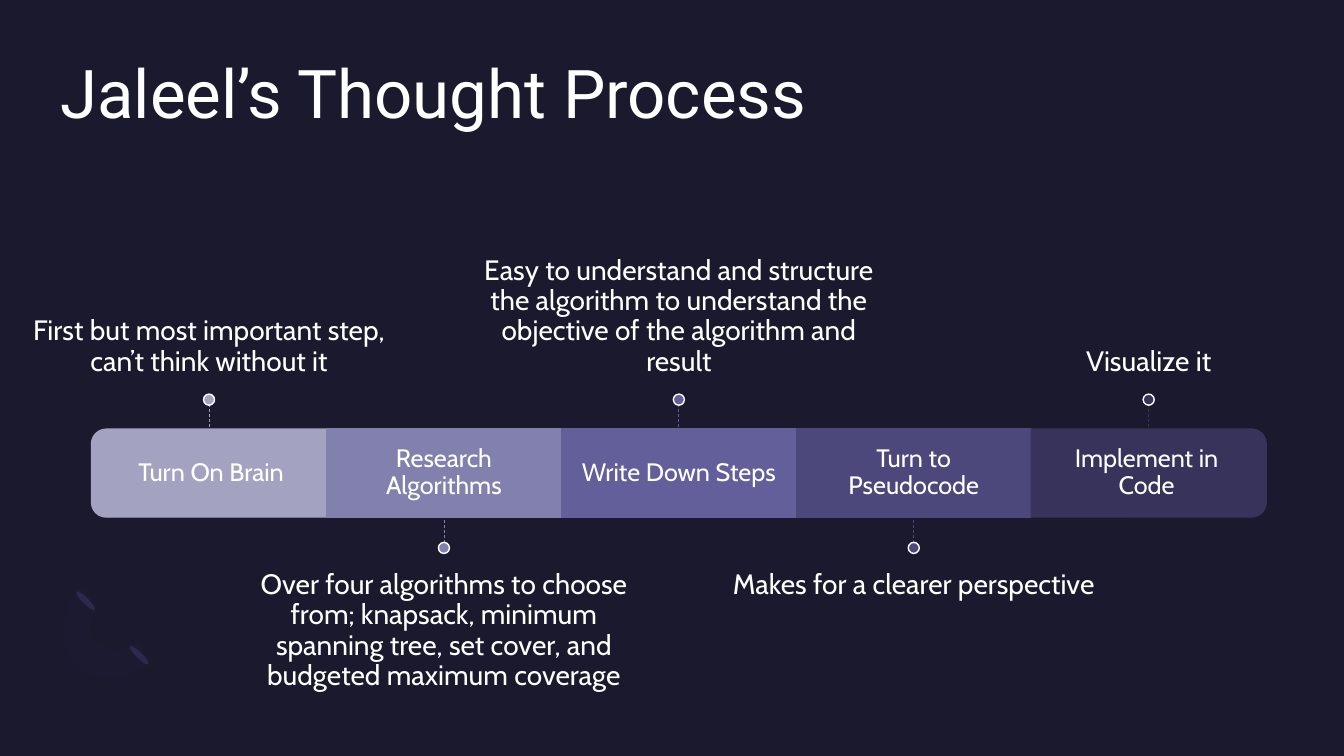
from lxml import etree
from pptx import Presentation
from pptx.dml.color import RGBColor
from pptx.enum import dml, shapes, text
from pptx.oxml.ns import qn
from pptx.util import Pt

TITLE = "Jaleel’s Thought Process"
STEPS = [  # label, note, colour
    ("Turn On Brain", "First but most important step, can’t think without it", "step1"),
    ("Research Algorithms", "Over four algorithms to choose from; knapsack, minimum "
     "spanning tree, set cover, and budgeted maximum coverage", "step2"),
    ("Write Down Steps", "Easy to understand and structure the algorithm to understand "
     "the objective of the algorithm and result", "step3"),
    ("Turn to Pseudocode", "Makes for a clearer perspective", "step4"),
    ("Implement in Code", "Visualize it", "step5"),
]
COLORS = {
    "bg": "1B192E", "text": "FFFFFF", "leaf": "2C284A", "arc": "7771B2",
    "step1": "A3A3C1", "step2": "8281AE", "step3": "625F9A",
    "step4": "4C487B", "step5": "37335B",
}

BAR_X, BAR_Y, SEG_W, SEG_H = 65.4, 306.5, 167.8, 62.8
END_INSET = 3
NOTE_W, NOTE_H, NOTE_GAP = 279.4, 133.2, 12.2
DOT = 7.9
LEAVES = [(97.2, 458.6), (59, 419.8)]
LEAF_W, LEAF_H = 4.3, 18.7
ARC_OUTER = [(54.7, 474.5), (40.3, 460.1), (41.8, 435.6), (58.3, 419)]
ARC_INNER = [
    [(71.3, 432), (62.6, 439.9), (61.9, 452.9), (69.1, 459.4)],
    [(69.1, 459.4), (76.3, 466.6), (88.6, 465.8), (97.2, 457.9)],
]
ARC_RETURN = [(109.4, 470.9), (93.6, 486.7), (68.4, 488.9), (54.7, 474.5)]

prs = Presentation()
prs.slide_width, prs.slide_height = Pt(960), Pt(540)
s = prs.slides.add_slide(prs.slide_layouts[6])


def rgb(name):
    return RGBColor.from_string(COLORS[name])


s.background.fill.solid()
s.background.fill.fore_color.rgb = rgb("bg")


def paint(sp, fill, line=None):
    sp.shadow.inherit = False
    sp.fill.solid()
    sp.fill.fore_color.rgb = rgb(fill)
    if line:
        sp.line.color.rgb = rgb(line)
        sp.line.width = Pt(1)
    else:
        sp.line.fill.background()


def add_preset(kind, x, y, w, h, fill, line=None, rotation=0):
    sp = s.shapes.add_shape(kind, Pt(x), Pt(y), Pt(w), Pt(h))
    sp.rotation = rotation
    paint(sp, fill, line)


def add_text(content, x, y, w, h, size, font="Cabin", align=text.PP_ALIGN.CENTER,
             anchor=text.MSO_ANCHOR.TOP, insets=(0, 0, 0, 0)):
    """Insets run left, top, right, bottom."""
    tf = s.shapes.add_textbox(Pt(x), Pt(y), Pt(w), Pt(h)).text_frame
    tf.word_wrap = True
    tf.vertical_anchor = anchor
    tf.margin_left, tf.margin_top, tf.margin_right, tf.margin_bottom = map(Pt, insets)
    p = tf.paragraphs[0]
    p.alignment, p.line_spacing = align, 0.9
    r = p.add_run()
    r.text = content
    r.font.size, r.font.name = Pt(size), font
    r.font.color.rgb = rgb("text")


def add_stem(x, y1, y2, color):
    cx = s.shapes.add_connector(shapes.MSO_CONNECTOR.STRAIGHT, Pt(x), Pt(y1), Pt(x), Pt(y2))
    cx.line.color.rgb = rgb(color)
    cx.line.width = Pt(0.5)
    cx.line.dash_style = dml.MSO_LINE.DASH
    etree.SubElement(cx._element.spPr, qn("a:effectLst"))


def bezier(points, n=12):
    """Points along a cubic curve, both ends included."""
    a, b, c, d = points
    return [tuple((1 - t)**3 * a[k] + 3 * (1 - t)**2 * t * b[k]
                  + 3 * (1 - t) * t**2 * c[k] + t**3 * d[k] for k in (0, 1))
            for t in (i / n for i in range(n + 1))]


def add_ornament():
    for x, y in LEAVES:
        add_preset(shapes.MSO_SHAPE.OVAL, x, y, LEAF_W, LEAF_H, "leaf", rotation=135)
    outline = [pt for curve in (ARC_OUTER, *ARC_INNER, ARC_RETURN) for pt in bezier(curve)]
    fb = s.shapes.build_freeform(*outline[0], scale=Pt(1))
    fb.add_line_segments(outline[1:], close=True)
    sp = fb.convert_to_shape()
    paint(sp, "arc")
    color = sp._element.spPr.find(qn("a:solidFill"))[0]
    etree.SubElement(color, qn("a:alpha"), val="2000")


def add_segment(i, label, color):
    x = BAR_X + i * SEG_W
    first, last = i == 0, i == len(STEPS) - 1
    if first or last:  # rounded end, drawn upright and turned outward
        add_preset(shapes.MSO_SHAPE.ROUND_2_SAME_RECTANGLE,
                   x + (SEG_W - SEG_H) / 2, BAR_Y + (SEG_H - SEG_W) / 2, SEG_H, SEG_W,
                   color, color, rotation=270 if first else 90)
    else:
        add_preset(shapes.MSO_SHAPE.RECTANGLE, x, BAR_Y, SEG_W, SEG_H, color, color)
    add_text(label, x + END_INSET * first, BAR_Y, SEG_W - END_INSET * (first or last), SEG_H,
             18, anchor=text.MSO_ANCHOR.MIDDLE, insets=(10.8,) * 4)


def add_note(i, note, color):
    """Even steps are noted above the bar, odd ones below."""
    cx = BAR_X + (i + 0.5) * SEG_W
    if i % 2 == 0:
        note_y, dot_y, stem = 148.3, 281.5, (288.7, 319)
        anchor, insets = text.MSO_ANCHOR.BOTTOM, (0, 0, 0, NOTE_GAP)
    else:
        note_y, dot_y, stem = 395.3, 387.4, (357.1, 387.4)
        anchor, insets = text.MSO_ANCHOR.TOP, (0, NOTE_GAP, 0, 0)
    add_text(note, cx - NOTE_W / 2, note_y, NOTE_W, NOTE_H, 20, anchor=anchor, insets=insets)
    add_stem(cx, *stem, color)
    add_preset(shapes.MSO_SHAPE.OVAL, cx - DOT / 2, dot_y, DOT, DOT, color, "text")


add_ornament()
add_text(TITLE, 43.2, 43.2, 873.4, 105.1, 48, font="Roboto", align=text.PP_ALIGN.LEFT)
for i, (label, note, color) in enumerate(STEPS):
    add_segment(i, label, color)
    add_note(i, note, color)

prs.save("out.pptx")
